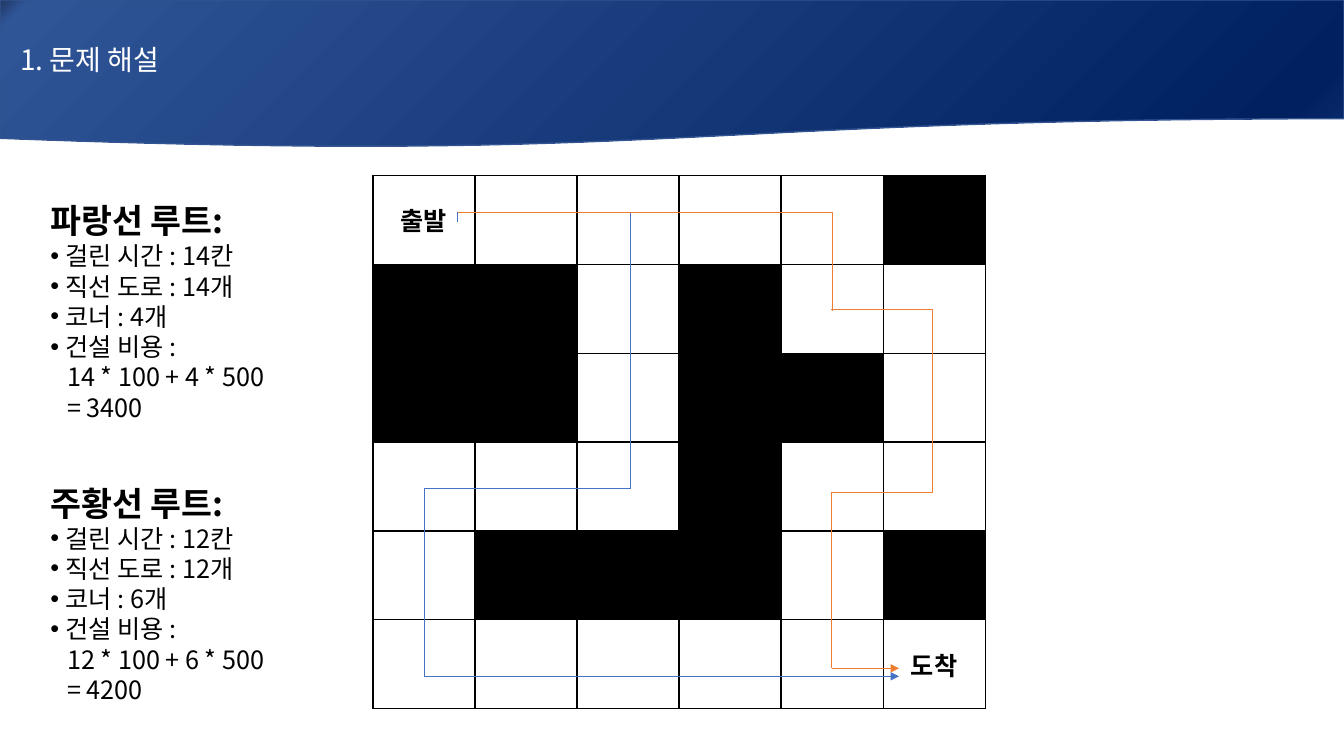
"""Build the slide that compares two road routes on a grid map."""
from copy import deepcopy

from pptx import Presentation
from pptx.dml import color
from pptx.enum import shapes, text
from pptx.oxml import ns, xmlchemy
from pptx.util import Pt

FONT = "Noto Sans CJK KR"
TITLE = "1. 문제 해설"
BANNER_STOPS = [(0, "203864"), (0.02, "2F5597"), (0.94, "002060"), (1, "0D2E6F")]
ROUTE_NOTES = [
    ("파랑선 루트:",
     ["걸린 시간 : 14칸", "직선 도로 : 14개", "코너 : 4개", "건설 비용 :"],
     ["14 * 100 + 4 * 500", "= 3400"]),
    ("주황선 루트:",
     ["걸린 시간 : 12칸", "직선 도로 : 12개", "코너 : 6개", "건설 비용 :"],
     ["12 * 100 + 6 * 500", "= 4200"]),
]
MAP = [
    ".....#",
    "##.#..",
    "##.##.",
    "...#..",
    ".###.#",
    "......",
]
MAP_LABELS = {(0, 0): "출발", (5, 5): "도착"}
MAP_LEFT, MAP_TOP, CELL_WIDTH, CELL_HEIGHT = 266.4, 125.3, 72.9, 63.5
ROUTES = [
    {"hue": "4472C4", "start": (326.9, 158.4), "arrow_x": 642.2,
     "legs": [("down", 152, (450, 349.2)), ("across", 303.1, (303.1, 483.1))]},
    {"hue": "ED7D31", "start": (326.9, 152), "arrow_x": 642.2,
     "legs": [("across", 594.4, (594, 221.8)), ("down", 220.6, (666, 349.2)),
              ("down", 351.8, (594, 477.4))]},
]


def rgb(value):
    return color.RGBColor.from_string(value)


def add_xml(parent, tag, **attributes):
    child = xmlchemy.OxmlElement(tag)
    for key, value in attributes.items():
        child.set(key, str(value))
    parent.append(child)
    return child


def assign(target, **values):
    for key, value in values.items():
        setattr(target, key, value)


def write(paragraph, words, size, hue="000000", bold=False):
    run = paragraph.add_run()
    run.text = words
    assign(run.font, name=FONT, size=Pt(size), bold=bold)
    run.font.color.rgb = rgb(hue)
    add_xml(run._r.get_or_add_rPr(), "a:ea", typeface=FONT)


def place(shape, left, top, width, height):
    assign(shape, left=Pt(left), top=Pt(top), width=Pt(width), height=Pt(height))


def add_banner(slide):
    banner = slide.shapes.add_shape(
        shapes.MSO_SHAPE.FLOWCHART_DOCUMENT, 0, 0, Pt(960), Pt(105.8))
    banner.shadow.inherit = False
    banner.fill.gradient()
    banner.fill.gradient_angle = 315
    first_stop = banner.element.find(".//" + ns.qn("a:gs"))
    for _ in BANNER_STOPS[2:]:
        first_stop.addnext(deepcopy(first_stop))
    for stop, (position, hue) in zip(banner.fill.gradient_stops, BANNER_STOPS):
        stop.position = position
        stop.color.rgb = rgb(hue)
    banner.line.color.rgb = rgb("325491")
    banner.line.width = Pt(1)

    title = slide.shapes.title
    title.element.addprevious(banner.element)
    place(title, 0, 0, 960, 85)
    assign(title.text_frame, margin_left=Pt(14.5), word_wrap=True,
           auto_size=text.MSO_AUTO_SIZE.NONE, vertical_anchor=text.MSO_ANCHOR.MIDDLE)
    heading = title.text_frame.paragraphs[0]
    heading.alignment = text.PP_ALIGN.LEFT
    write(heading, TITLE, 20, "FFFFFF")


def add_notes(notes):
    place(notes, 28.8, 139.5, 201.6, 370.8)
    frame = notes.text_frame
    assign(frame, word_wrap=True, auto_size=text.MSO_AUTO_SIZE.NONE,
           vertical_anchor=text.MSO_ANCHOR.TOP)
    lines = []
    for heading, facts, sums in ROUTE_NOTES:
        lines.append((heading, 24, 0, False, 43.2 if lines else 0))
        lines += [(fact, 18, 10.8, True, 0) for fact in facts]
        lines += [(part, 18, 12, False, 0) for part in sums]
    for index, (words, size, margin, bulleted, gap) in enumerate(lines):
        paragraph = frame.add_paragraph() if index else frame.paragraphs[0]
        properties = paragraph._p.get_or_add_pPr()
        properties.set("marL", str(Pt(margin)))
        properties.set("indent", str(-Pt(margin) if bulleted else 0))
        if bulleted:
            add_xml(properties, "a:buChar", char="•")
        else:
            add_xml(properties, "a:buNone")
        assign(paragraph, line_spacing=Pt(size * 1.2), space_before=Pt(gap),
               space_after=Pt(0), alignment=text.PP_ALIGN.LEFT)
        write(paragraph, words, size, bold=size == 24)


def add_map(slide):
    size = len(MAP)
    grid = slide.shapes.add_table(
        size, size, Pt(MAP_LEFT), Pt(MAP_TOP),
        Pt(CELL_WIDTH * size), Pt(CELL_HEIGHT * size)).table
    assign(grid, first_row=False, horz_banding=False)
    for column in grid.columns:
        column.width = Pt(CELL_WIDTH)
    for row in grid.rows:
        row.height = Pt(CELL_HEIGHT)
    for r, marks in enumerate(MAP):
        for c, mark in enumerate(marks):
            cell = grid.cell(r, c)
            properties = cell._tc.get_or_add_tcPr()
            for side in "LRTB":
                border = add_xml(properties, f"a:ln{side}", w=Pt(1))
                add_xml(add_xml(border, "a:solidFill"), "a:srgbClr", val="000000")
            cell.fill.solid()
            cell.fill.fore_color.rgb = rgb("000000" if mark == "#" else "FFFFFF")
            if (r, c) in MAP_LABELS:
                cell.vertical_anchor = text.MSO_ANCHOR.MIDDLE
                label = cell.text_frame.paragraphs[0]
                label.alignment = text.PP_ALIGN.CENTER
                write(label, MAP_LABELS[r, c], 18, bold=True)


def add_line(slide, kind, start, end, hue):
    line = slide.shapes.add_connector(kind, *(Pt(v) for v in (*start, *end)))
    line.line.color.rgb = rgb(hue)
    line.line.width = Pt(0.5)
    add_xml(line.element.spPr, "a:effectLst")
    return line


def add_elbow(slide, direction, start, bend, end, hue):
    (x1, y1), (x2, y2) = start, end
    down = direction == "down"
    if down:
        middle_x, middle_y = (x1 + x2) / 2, (y1 + y2) / 2
        half_x, half_y = (x2 - x1) / 2, (y2 - y1) / 2
        start = middle_x - half_y, middle_y + half_x
        end = middle_x + half_y, middle_y - half_x
    elbow = add_line(slide, shapes.MSO_CONNECTOR.ELBOW, start, end, hue)
    if down:
        elbow.element.spPr.find(ns.qn("a:xfrm")).set("rot", "5400000")
    share = (bend - y1) / (y2 - y1) if down else (bend - x1) / (x2 - x1)
    guides = elbow.element.find(".//" + ns.qn("a:avLst"))
    add_xml(guides, "a:gd", name="adj1", fmla=f"val {round(share * 100000)}")


def add_route(slide, hue, start, arrow_x, legs):
    for direction, bend, end in legs:
        add_elbow(slide, direction, start, bend, end, hue)
        start = end
    arrow = add_line(slide, shapes.MSO_CONNECTOR.STRAIGHT, start,
                     (arrow_x, start[1]), hue)
    add_xml(arrow.element.spPr.find(ns.qn("a:ln")), "a:tailEnd", type="triangle")


def main():
    deck = Presentation()
    assign(deck, slide_width=Pt(960), slide_height=Pt(540))
    slide = deck.slides.add_slide(deck.slide_layouts[1])
    add_banner(slide)
    add_map(slide)
    for route in ROUTES:
        add_route(slide, **route)
    add_notes(slide.placeholders[1])
    deck.save("out.pptx")


if __name__ == "__main__":
    main()
